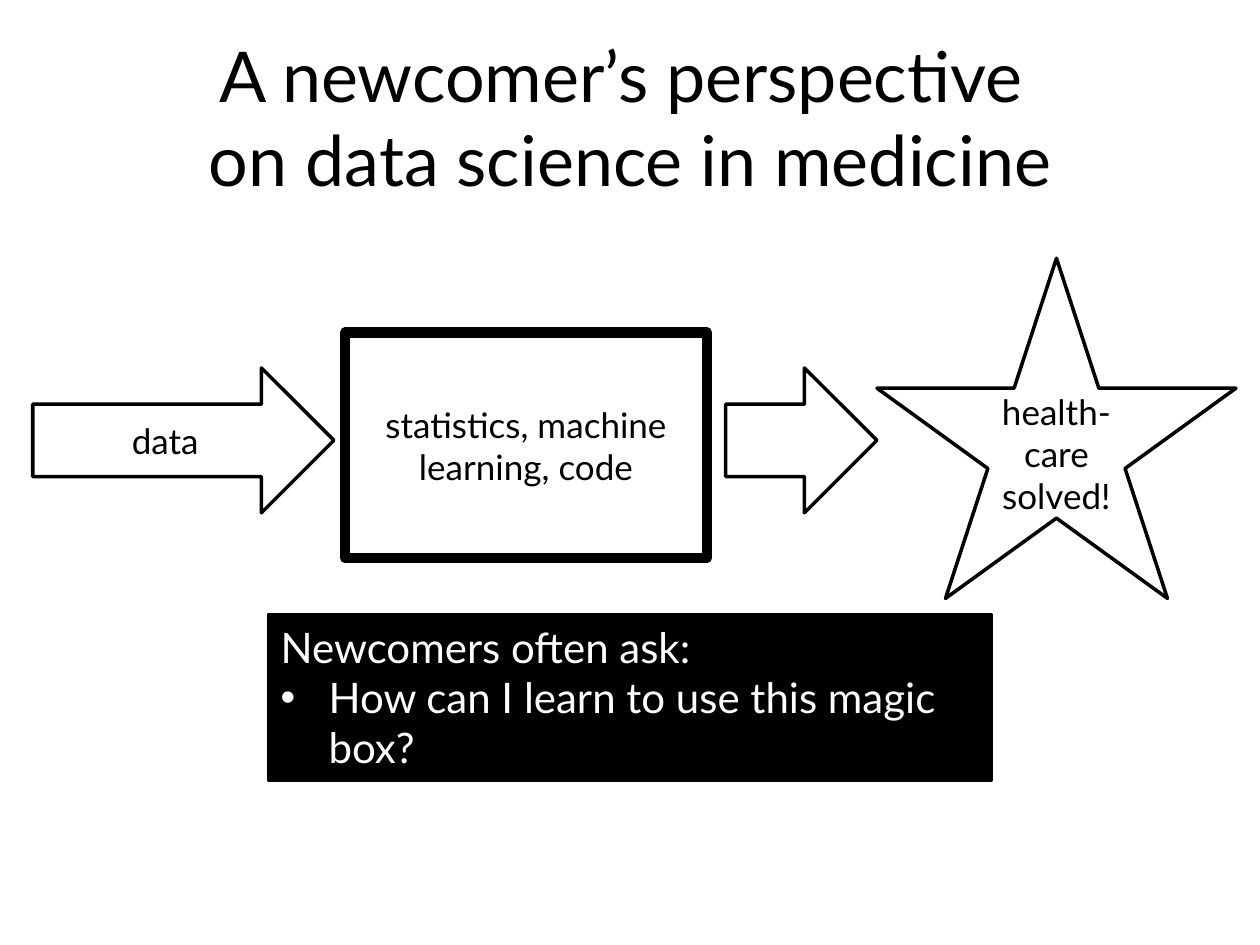
import pptx
import pptx.dml.color
import pptx.enum.shapes
import pptx.enum.text
import pptx.oxml
import pptx.oxml.ns
import pptx.util

Inches = pptx.util.Inches
Pt = pptx.util.Pt
SHAPE = pptx.enum.shapes.MSO_SHAPE
ALIGN = pptx.enum.text.PP_ALIGN
ANCHOR = pptx.enum.text.MSO_ANCHOR

FONT = "Lato"
BLACK, WHITE = "000000", "FFFFFF"

TITLE = "A newcomer’s perspective \von data science in medicine"
TITLE_PLACE = (0, 0.3, 10, 1.25)

# preset, (left, top, width, height), line width, text
FLOW = [
    (SHAPE.RECTANGLE, (2.74, 2.64, 2.87, 1.79), 6, "statistics, machine learning, code"),
    (SHAPE.RIGHT_ARROW, (0.26, 2.92, 2.39, 1.15), 2, "data"),
    (SHAPE.RIGHT_ARROW, (5.76, 2.92, 1.2, 1.15), 2, ""),
    (SHAPE.STAR_5_POINT, (6.96, 2.05, 2.85, 2.7), 2, "health-care solved!"),
]

QUESTION_PLACE = (2.13, 4.88, 5.74, 1.31)
QUESTION_LEAD = "Newcomers often ask:"
QUESTIONS = ["How can I learn to use this magic box?"]
BULLET_INDENT = 0.38


def color(value):
    return pptx.dml.color.RGBColor.from_string(value)


def write(box, lines, size, ink, align, anchor):
    frame = box.text_frame
    frame.word_wrap = True
    frame.vertical_anchor = anchor
    frame.text = "\n".join(lines)
    for paragraph in frame.paragraphs:
        paragraph.alignment = align
        for span in paragraph.runs:
            span.font.name = FONT
            span.font.size = Pt(size)
            span.font.color.rgb = color(ink)


def add_block(page, preset, place, fill, line_width):
    block = page.shapes.add_shape(preset, *map(Inches, place))
    block.shadow.inherit = False
    block.fill.solid()
    block.fill.fore_color.rgb = color(fill)
    block.line.color.rgb = color(BLACK)
    block.line.width = Pt(line_width)
    return block


def add_bullet(paragraph):
    properties = paragraph._p.get_or_add_pPr()
    properties.set("marL", str(Inches(BULLET_INDENT)))
    properties.set("indent", str(-Inches(BULLET_INDENT)))
    for tag, key, value in (("a:buFont", "typeface", "Arial"), ("a:buChar", "char", "•")):
        element = pptx.oxml.parse_xml(f"<{tag} {pptx.oxml.ns.nsdecls('a')}/>")
        element.set(key, value)
        properties.append(element)


def main():
    deck = pptx.Presentation()
    deck.slide_width, deck.slide_height = Inches(10), Inches(7.5)
    page = deck.slides.add_slide(deck.slide_layouts[6])

    title = page.shapes.add_textbox(*map(Inches, TITLE_PLACE))
    write(title, [TITLE], 40, BLACK, ALIGN.CENTER, ANCHOR.MIDDLE)

    for preset, place, line_width, text in FLOW:
        block = add_block(page, preset, place, WHITE, line_width)
        if text:
            write(block, [text], 20, BLACK, ALIGN.CENTER, ANCHOR.MIDDLE)

    panel = add_block(page, SHAPE.RECTANGLE, QUESTION_PLACE, BLACK, 2)
    write(panel, [QUESTION_LEAD, *QUESTIONS], 24, WHITE, ALIGN.LEFT, ANCHOR.TOP)
    for paragraph in panel.text_frame.paragraphs[1:]:
        add_bullet(paragraph)

    deck.save("out.pptx")


if __name__ == "__main__":
    main()
